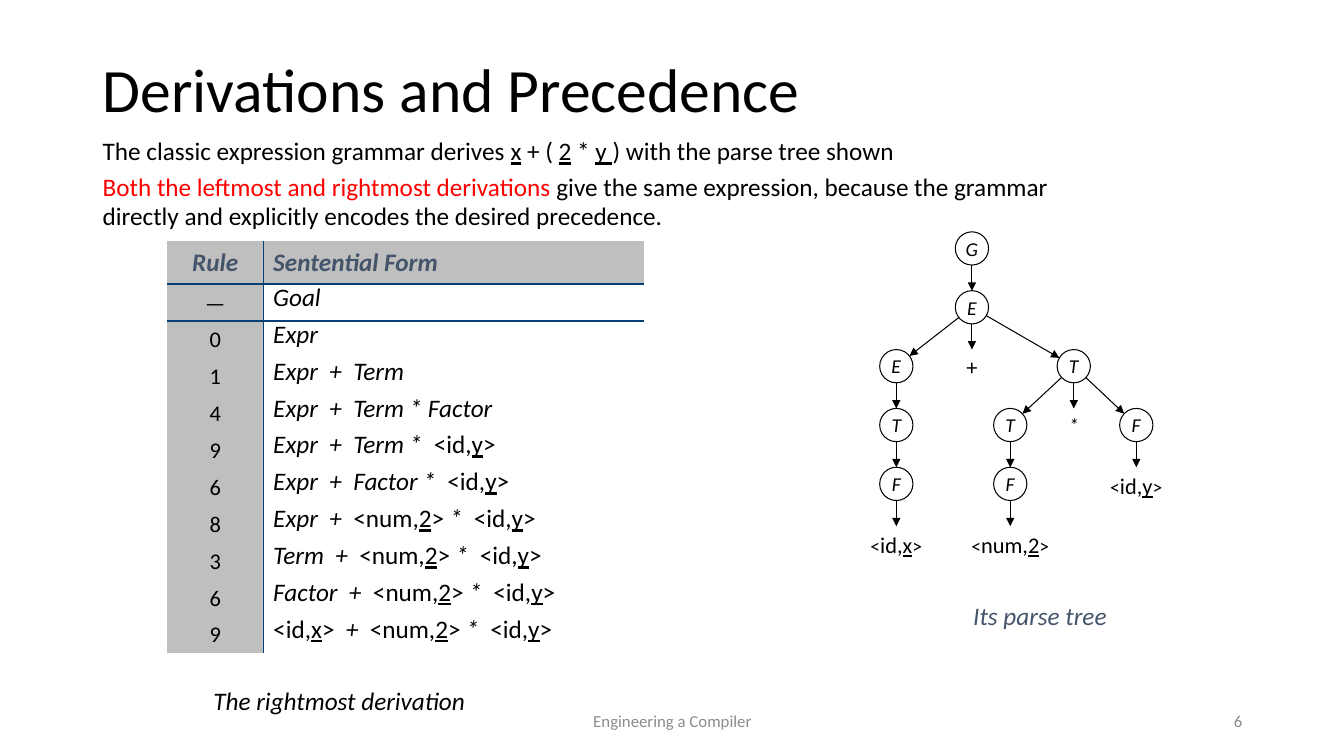
import math

from lxml import etree
from pptx import Presentation
from pptx.dml.color import RGBColor
from pptx.enum.shapes import MSO_CONNECTOR, MSO_SHAPE
from pptx.enum.text import MSO_ANCHOR, PP_ALIGN
from pptx.oxml.ns import qn
from pptx.util import Inches, Pt

FONT = "Calibri"
BLACK, RED, SLATE, GREY = "000000", "FF0000", "44546A", "8C8C8C"
SHADE, WHITE, RULE_LINE = "BFBFBF", "FFFFFF", "074073"
LEFT, CENTER, RIGHT = PP_ALIGN.LEFT, PP_ALIGN.CENTER, PP_ALIGN.RIGHT
TOP, MIDDLE, BOTTOM = MSO_ANCHOR.TOP, MSO_ANCHOR.MIDDLE, MSO_ANCHOR.BOTTOM
OVAL, STRAIGHT = MSO_SHAPE.OVAL, MSO_CONNECTOR.STRAIGHT
NO_STYLE = "{2D5ABB26-0587-4C30-8999-92F81FD0307C}"

DERIVATION = [
    ("—", "/Goal/"),
    ("0", "/Expr/"),
    ("1", "/Expr  +  Term/"),
    ("4", "/Expr  +  Term * Factor/"),
    ("9", "/Expr  +  Term *  /<id,_y_>"),
    ("6", "/Expr  +  Factor *  /<id,_y_>"),
    ("8", "/Expr  +  /<num,_2_>/ *  /<id,_y_>"),
    ("3", "/Term  +  /<num,_2_>/ *  /<id,_y_>"),
    ("6", "/Factor  +  /<num,_2_>/ *  /<id,_y_>"),
    ("9", "<id,_x_>  /+  /<num,_2_>/ *  /<id,_y_>"),
]

TREE_NODES = {
    "goal": (1.16, 0, "G"),
    "sum": (1.16, 1, "E"),
    "left": (0.41, 2, "E"),
    "left term": (0.41, 3, "T"),
    "left factor": (0.41, 4, "F"),
    "product": (2.17, 2, "T"),
    "right term": (1.54, 3, "T"),
    "right factor": (1.54, 4, "F"),
    "last factor": (2.79, 3, "F"),
}
TREE_OPERATORS = {"plus": (1.16, 2, "+", 16), "times": (2.17, 3, "/*/", 14)}
TREE_LEAVES = {
    "x": (0.41, 5, "id,_x_", 0.83),
    "two": (1.54, 5, "num,_2_", 1.25),
    "y": (2.79, 4, "id,_y_", 0.83),
}
TREE_EDGES = [
    ("goal", "sum"), ("sum", "left"), ("sum", "plus"), ("sum", "product"),
    ("left", "left term"), ("left term", "left factor"), ("left factor", "x"),
    ("product", "right term"), ("product", "times"), ("product", "last factor"),
    ("right term", "right factor"), ("right factor", "two"), ("last factor", "y"),
]


def color(hex_value):
    return RGBColor.from_string(hex_value)


def set_values(target, values):
    for name, value in values.items():
        setattr(target, name, value)


def add_runs(paragraph, text, size, hex_value=BLACK, bold=False):
    """Slashes enclose italics and underscores enclose underlining."""
    for italic, chunk in enumerate(text.split("/")):
        for underline, piece in enumerate(chunk.split("_")):
            if piece:
                run = paragraph.add_run()
                run.text = piece
                set_values(run.font, {
                    "name": FONT, "size": Pt(size), "bold": bold,
                    "italic": italic % 2 == 1, "underline": underline % 2 == 1})
                run.font.color.rgb = color(hex_value)


def add_text_box(slide, box, align=LEFT, anchor=TOP):
    frame = slide.shapes.add_textbox(*map(Inches, box)).text_frame
    set_values(frame, {"word_wrap": True, "vertical_anchor": anchor})
    frame.paragraphs[0].alignment = align
    return frame


def add_label(slide, box, text, size, hex_value=BLACK, align=CENTER, anchor=TOP):
    frame = add_text_box(slide, box, align, anchor)
    add_runs(frame.paragraphs[0], text, size, hex_value)
    return frame


def add_introduction(slide, box):
    frame = add_text_box(slide, box)
    first, second = frame.paragraphs[0], frame.add_paragraph()
    set_values(first, {"line_spacing": 0.9})
    set_values(second, {"line_spacing": 0.95, "space_before": Pt(5.4)})
    add_runs(first, "The classic expression grammar derives _x_ + ( _2_ * _y _) "
                    "with the parse tree shown", 18)
    add_runs(second, "Both the leftmost and rightmost derivations ", 18, RED)
    add_runs(second, "give the same expression, because the grammar directly and "
                     "explicitly encodes the desired precedence.", 18)


def add_border(cell, side, width):
    line = etree.SubElement(cell._tc.get_or_add_tcPr(), qn("a:ln" + side),
                            w=str(Pt(width)))
    fill = etree.SubElement(line, qn("a:solidFill"))
    etree.SubElement(fill, qn("a:srgbClr"), val=RULE_LINE)


def add_derivation_table(slide, box):
    left, top, width, height = box
    header_height, rule_width = 0.43, 0.95
    frame = slide.shapes.add_table(len(DERIVATION) + 1, 2, *map(Inches, box))
    for style in frame._element.iter(qn("a:tableStyleId")):
        style.text = NO_STYLE
    table = frame.table
    set_values(table, {"first_row": False, "horz_banding": False})
    table.columns[0].width = Inches(rule_width)
    table.columns[1].width = Inches(width - rule_width)
    body_height = (height - header_height) / len(DERIVATION)

    rows = [("/Rule/", "/Sentential Form/")] + DERIVATION
    for row, texts in enumerate(rows):
        header = row == 0
        table.rows[row].height = Inches(header_height if header else body_height)
        for column, text in enumerate(texts):
            cell = table.cell(row, column)
            rule = column == 0
            add_border(cell, "R" if rule else "L", 1)
            if row < 2:
                add_border(cell, "B" if header else "T", 1.5)
            cell.fill.solid()
            cell.fill.fore_color.rgb = color(SHADE if header or rule else WHITE)
            set_values(cell, {
                "margin_top": Inches(0.05), "margin_bottom": Inches(0.04),
                "vertical_anchor": BOTTOM if rule and not header else TOP})
            paragraph = cell.text_frame.paragraphs[0]
            paragraph.alignment = CENTER if rule else LEFT
            if header:
                paragraph.line_spacing = Pt(23)
            elif not rule:
                paragraph.line_spacing = 0.7
            add_runs(paragraph, text, 16 if rule and not header else 18,
                     SLATE if header else BLACK, header)


def add_node(slide, center, diameter, text, size, outlined):
    x, y = center
    shape = slide.shapes.add_shape(OVAL, Inches(x - diameter / 2),
                                   Inches(y - diameter / 2),
                                   Inches(diameter), Inches(diameter))
    shape.shadow.inherit = False
    shape.fill.background()
    if outlined:
        shape.line.color.rgb = color(BLACK)
        shape.line.width = Pt(0.75)
    else:
        shape.line.fill.background()
    set_values(shape.text_frame, {"word_wrap": False, "vertical_anchor": MIDDLE})
    paragraph = shape.text_frame.paragraphs[0]
    paragraph.alignment = CENTER
    add_runs(paragraph, text, size)


def add_arrow(slide, start, end, gap):
    (x1, y1), (x2, y2) = start, end
    share = gap / math.dist(start, end)
    dx, dy = (x2 - x1) * share, (y2 - y1) * share
    arrow = slide.shapes.add_connector(
        STRAIGHT, *map(Inches, (x1 + dx, y1 + dy, x2 - dx, y2 - dy)))
    arrow.line.color.rgb = color(BLACK)
    arrow.line.width = Pt(0.75)
    etree.SubElement(arrow.line._get_or_add_ln(), qn("a:tailEnd"), type="triangle")
    etree.SubElement(arrow._element.spPr, qn("a:effectLst"))


def add_parse_tree(slide, box):
    left, top, width, height = box
    diameter = 0.33
    level_step = (height - 0.37) / 5
    centers = {
        name: (left + part[0], top + diameter / 2 + part[1] * level_step)
        for name, part in {**TREE_NODES, **TREE_OPERATORS, **TREE_LEAVES}.items()}
    for name, (_, _, letter) in TREE_NODES.items():
        add_node(slide, centers[name], diameter, f"/{letter}/", 14, True)
    for name, (_, _, symbol, size) in TREE_OPERATORS.items():
        add_node(slide, centers[name], diameter, symbol, size, False)
    for name, (_, _, token, leaf_width) in TREE_LEAVES.items():
        x, y = centers[name]
        leaf_box = (x - leaf_width / 2, y - diameter / 2, leaf_width, 0.37)
        paragraph = add_text_box(slide, leaf_box, CENTER).paragraphs[0]
        for text, size in (("<", 14), (token, 16), (">", 14)):
            add_runs(paragraph, text, size)
    for parent, child in TREE_EDGES:
        add_arrow(slide, centers[parent], centers[child], diameter / 2)


def main():
    presentation = Presentation()
    set_values(presentation, {"slide_width": Inches(13.33), "slide_height": Inches(7.5)})
    slide = presentation.slides.add_slide(presentation.slide_layouts[6])
    title = add_label(slide, (0.92, 0.19, 11.5, 1.45), "Derivations and Precedence",
                      44, align=LEFT, anchor=MIDDLE)
    title.paragraphs[0].line_spacing = 0.9
    add_introduction(slide, (0.92, 1.33, 9.92, 1.04))
    add_derivation_table(slide, (1.66, 2.39, 4.73, 4.09))
    add_label(slide, (1.78, 6.75, 3.17, 0.4), "/The rightmost derivation/", 18)
    add_parse_tree(slide, (8.48, 2.3, 3.21, 3.29))
    add_label(slide, (8.73, 5.91, 3.17, 0.4), "/Its parse tree/", 18, SLATE)
    add_label(slide, (4.42, 6.95, 4.5, 0.4), "Engineering a Compiler", 12, GREY,
              anchor=MIDDLE)
    add_label(slide, (9.42, 6.95, 3, 0.4), "6", 12, GREY, RIGHT, MIDDLE)
    presentation.save("out.pptx")


if __name__ == "__main__":
    main()
